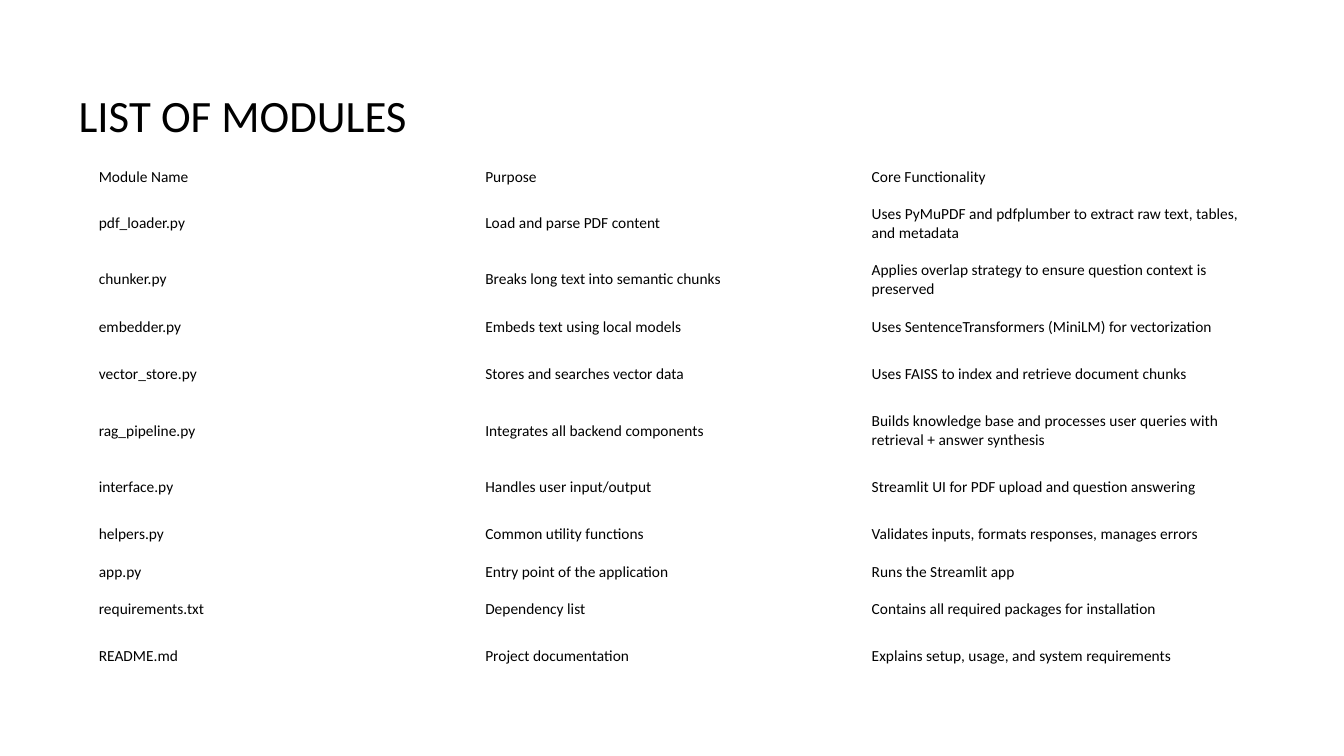
from dataclasses import dataclass

from pptx import Presentation
from pptx.dml.color import RGBColor
from pptx.enum.text import MSO_ANCHOR, MSO_AUTO_SIZE, PP_ALIGN
from pptx.util import Inches, Pt

TITLE = "LIST OF MODULES"
SINGLE, MEDIUM, TALL = 0.27, 0.47, 0.65
MODULES = [
    (SINGLE, "Module Name", "Purpose", "Core Functionality"),
    (TALL, "pdf_loader.py", "Load and parse PDF content",
     "Uses PyMuPDF and pdfplumber to extract raw text, tables, and metadata"),
    (MEDIUM, "chunker.py", "Breaks long text into semantic chunks",
     "Applies overlap strategy to ensure question context is preserved"),
    (MEDIUM, "embedder.py", "Embeds text using local models",
     "Uses SentenceTransformers (MiniLM) for vectorization"),
    (MEDIUM, "vector_store.py", "Stores and searches vector data",
     "Uses FAISS to index and retrieve document chunks"),
    (TALL, "rag_pipeline.py", "Integrates all backend components",
     "Builds knowledge base and processes user queries with retrieval + answer synthesis"),
    (MEDIUM, "interface.py", "Handles user input/output",
     "Streamlit UI for PDF upload and question answering"),
    (MEDIUM, "helpers.py", "Common utility functions",
     "Validates inputs, formats responses, manages errors"),
    (SINGLE, "app.py", "Entry point of the application", "Runs the Streamlit app"),
    (MEDIUM, "requirements.txt", "Dependency list",
     "Contains all required packages for installation"),
    (MEDIUM, "README.md", "Project documentation",
     "Explains setup, usage, and system requirements"),
]


@dataclass(frozen=True)
class Theme:
    font: str = "Calibri"
    text: RGBColor = RGBColor(0, 0, 0)
    title_size: int = 32
    table_size: int = 11


THEME = Theme()


def style(paragraph, size):
    paragraph.alignment = PP_ALIGN.LEFT
    font = paragraph.font
    font.name = THEME.font
    font.size = Pt(size)
    font.bold = False
    font.color.rgb = THEME.text


def add_title(slide):
    title = slide.shapes.title
    title.left, title.top = Inches(0.68), Inches(0.76)
    title.width, title.height = Inches(11.97), Inches(0.7)
    frame = title.text_frame
    frame.text = TITLE
    frame.auto_size = MSO_AUTO_SIZE.NONE
    frame.vertical_anchor = MSO_ANCHOR.BOTTOM
    paragraph = frame.paragraphs[0]
    paragraph.line_spacing = 0.9
    style(paragraph, THEME.title_size)


def fill_cell(cell, text):
    cell.text = text
    cell.fill.background()
    cell.vertical_anchor = MSO_ANCHOR.MIDDLE
    cell.margin_left = cell.margin_right = Inches(0.06)
    cell.margin_top = cell.margin_bottom = Inches(0.03)
    style(cell.text_frame.paragraphs[0], THEME.table_size)


def add_module_table(slide):
    column_count = len(MODULES[0]) - 1
    height = sum(row_height for row_height, *_ in MODULES)
    table = slide.shapes.add_table(
        len(MODULES), column_count,
        Inches(0.92), Inches(1.62), Inches(11.5), Inches(height),
    ).table
    table.first_row = False
    table.horz_banding = False
    for row, (row_height, *texts) in zip(table.rows, MODULES):
        row.height = Inches(row_height)
        for cell, text in zip(row.cells, texts):
            fill_cell(cell, text)


def main():
    presentation = Presentation()
    presentation.slide_width = Inches(13.33)
    presentation.slide_height = Inches(7.5)
    slide = presentation.slides.add_slide(presentation.slide_layouts[5])
    add_title(slide)
    add_module_table(slide)
    presentation.save("out.pptx")


if __name__ == "__main__":
    main()
